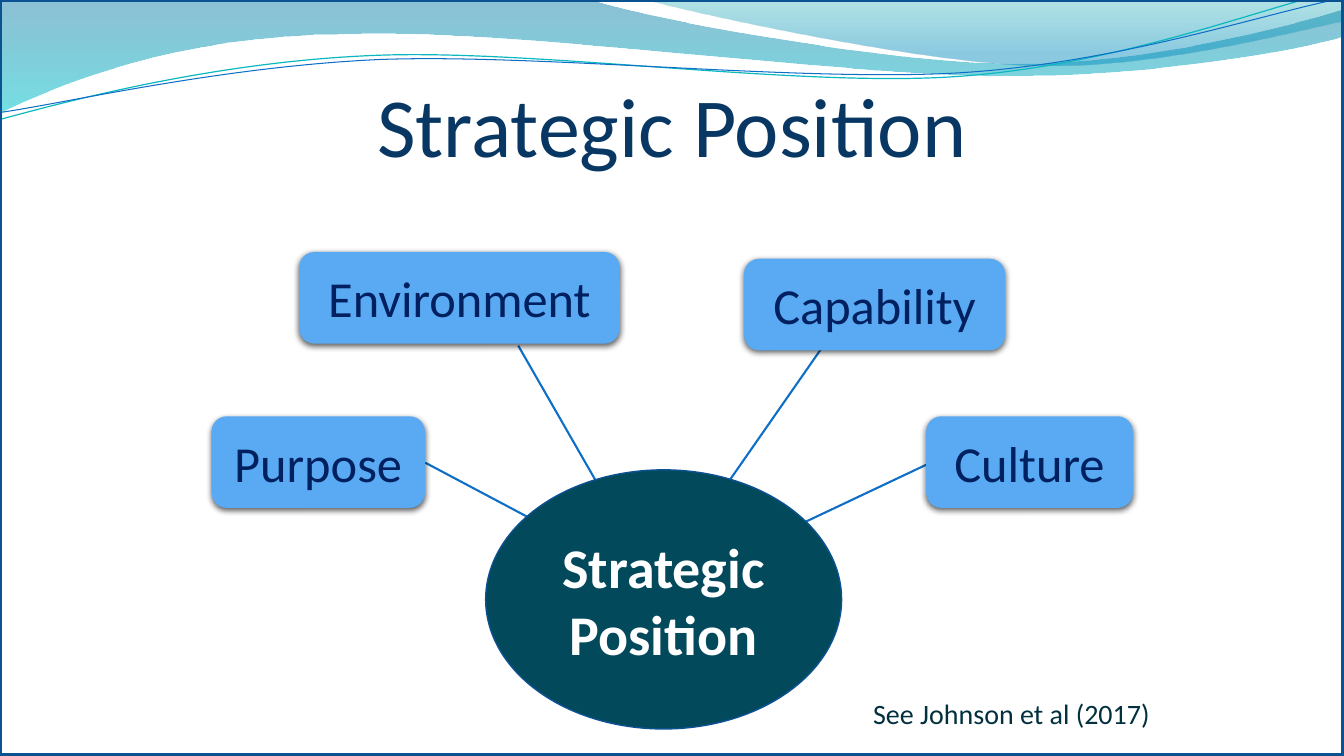
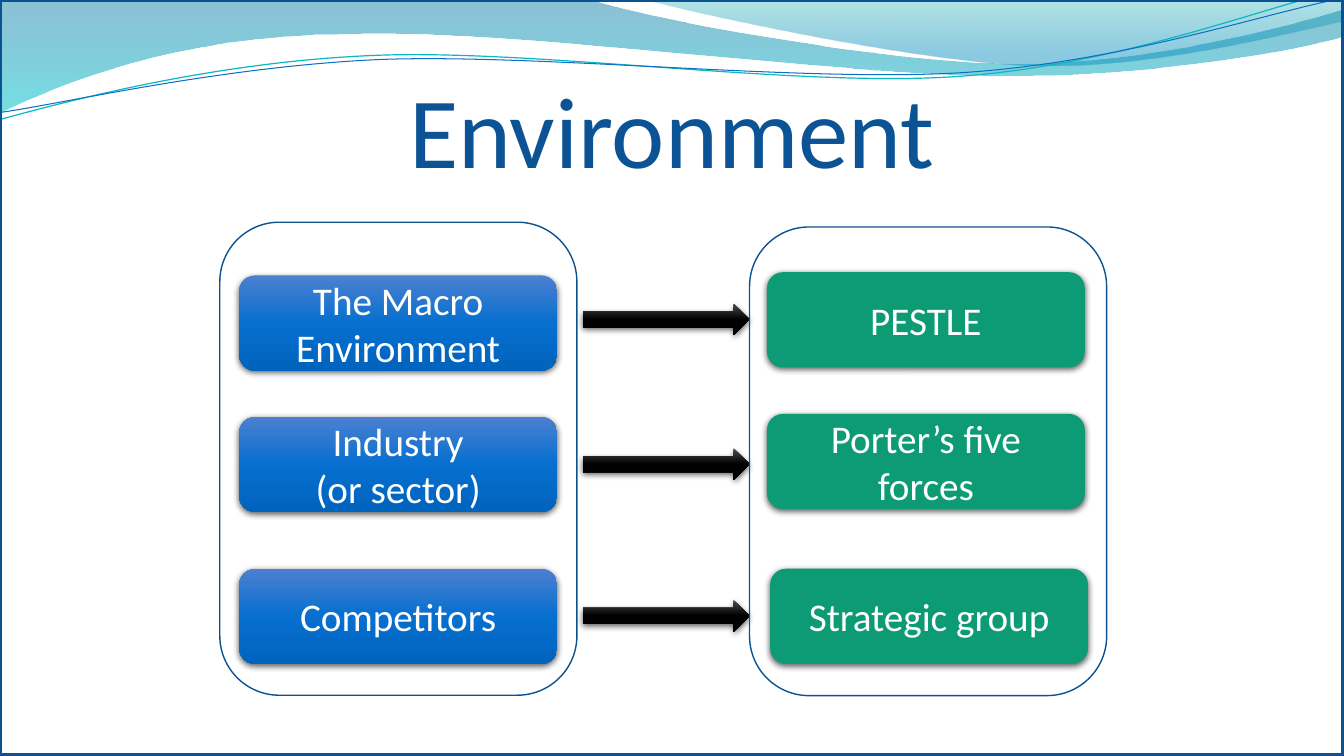
from dataclasses import dataclass
from math import cos, radians, sin

from lxml.etree import SubElement
from pptx import Presentation
from pptx.dml.color import RGBColor
from pptx.enum.shapes import MSO_CONNECTOR, MSO_SHAPE
from pptx.enum.text import MSO_ANCHOR, MSO_AUTO_SIZE, PP_ALIGN
from pptx.oxml.ns import qn
from pptx.util import Cm, Pt


@dataclass(frozen=True)
class Theme:
    font: str = "Calibri"
    navy: str = "083763"
    blue: str = "0B5394"
    outline: str = "0B5292"
    link: str = "0F6FC6"
    wave_line: str = "0AB8BF"
    hub: str = "03495C"
    factor: str = "59AAF2"
    factor_text: str = "002060"
    tool: str = "0C9B74"
    note: str = "02303E"
    white: str = "FFFFFF"
    level: tuple = ((0, "4C80D0", 100), (50, "066FCF", 100), (100, "0063BD", 100))
    arrow: tuple = ((0, "4B4B4B", 100), (50, "000000", 100), (100, "000000", 100))
    wave_left: tuple = ((0, "0074A1", 45), (100, "00C6CF", 55))
    wave_right: tuple = ((0, "00A1A9", 30), (80, "008BBF", 45))
    title_size: int = 60
    large_title_size: int = 72
    hub_size: int = 40
    factor_size: int = 36
    card_size: int = 28
    note_size: int = 20


THEME = Theme()
WIDTH, HEIGHT = 33.87, 19.05
STRAND_TILT = 2.7

WAVE_LEFT = [
    [(0, -0.02)],
    [(14.91, -0.02)],
    [(16.1, 0.43), (22.45, 1.6), (25.68, 1.6)],
    [(28.88, 1.6), (32.44, 0.66), (33.86, 0.23)],
    [(33.88, 0.91)],
    [(33.3, 1.12), (29.44, 1.93), (25.25, 1.91)],
    [(21.06, 1.91), (12.93, 0.71), (8.71, 0.86)],
    [(4.37, 0.89), (1.55, 2.11), (-0.05, 2.87)],
    [(0, -0.02)],
]
WAVE_RIGHT = [
    [(16.23, -0.02)],
    [(17.25, 0.28), (23.09, 1.57), (26.04, 1.65)],
    [(28.96, 1.75), (32.54, 0.81), (33.86, 0.53)],
    [(33.86, 0)],
    [(16.23, -0.02)],
]
TEAL_STRAND = [
    [(-0.03, 3.02)],
    [(1.63, 2.57), (5.33, 1.57), (9.37, 1.4)],
    [(13.39, 1.22), (20.04, 2.21), (24.1, 1.93)],
    [(28.19, 1.65), (31.78, 0.2), (33.78, -0.25)],
]
BLUE_STRAND = [
    [(-0.03, 2.84)],
    [(1.57, 2.62), (5.54, 1.68), (9.58, 1.5)],
    [(13.64, 1.35), (20.22, 2.08), (24.26, 1.83)],
    [(28.3, 1.57), (31.88, 0.33), (33.86, -0.05)],
]


def rgb(color):
    return RGBColor.from_string(color)


def paint(shape, fill=None, line=None, line_width=1, shadow=False):
    if fill is None:
        shape.fill.background()
    elif isinstance(fill, str):
        shape.fill.solid()
        shape.fill.fore_color.rgb = rgb(fill)
    else:
        paint_gradient(shape, fill)
    if line is None:
        shape.line.fill.background()
    else:
        shape.line.color.rgb = rgb(line)
        shape.line.width = Pt(line_width)
    shape.shadow.inherit = False
    if shadow:
        add_shadow(shape)


def paint_gradient(shape, stops):
    shape.fill.gradient()
    shape.fill.gradient_angle = 270
    stop_list = shape.element.spPr.find(qn("a:gradFill")).find(qn("a:gsLst"))
    for stop in list(stop_list):
        stop_list.remove(stop)
    for position, color, opacity in stops:
        stop = SubElement(stop_list, qn("a:gs"), pos=str(position * 1000))
        add_color(stop, color, opacity)


def add_color(parent, color, opacity):
    tint = SubElement(parent, qn("a:srgbClr"), val=color)
    if opacity < 100:
        SubElement(tint, qn("a:alpha"), val=str(opacity * 1000))


def add_shadow(shape):
    effects = shape.element.spPr.find(qn("a:effectLst"))
    outer = SubElement(effects, qn("a:outerShdw"), blurRad=str(Pt(4.5)),
                       dist=str(Pt(1.5)), dir="5400000", rotWithShape="0")
    add_color(outer, "000000", 63)


def write(shape, lines, size, color, align=PP_ALIGN.CENTER, bold=False):
    frame = shape.text_frame
    frame.word_wrap = True
    frame.auto_size = MSO_AUTO_SIZE.NONE
    frame.vertical_anchor = MSO_ANCHOR.MIDDLE
    for index, line in enumerate(lines):
        para = frame.add_paragraph() if index else frame.paragraphs[0]
        para.alignment = align
        span = para.add_run()
        span.text = line
        span.font.name = THEME.font
        span.font.size = Pt(size)
        span.font.bold = bold
        span.font.color.rgb = rgb(color)


def add_block(page, kind, bounds, **style):
    block = page.shapes.add_shape(kind, *map(Cm, bounds))
    paint(block, **style)
    return block


def add_card(page, bounds, lines, fill, size, color):
    card = add_block(page, MSO_SHAPE.ROUNDED_RECTANGLE, bounds, fill=fill, shadow=True)
    write(card, lines, size, color)


def add_link(page, start, end):
    link = page.shapes.add_connector(MSO_CONNECTOR.STRAIGHT, *map(Cm, start + end))
    link.line.color.rgb = rgb(THEME.link)
    link.line.width = Pt(1.5)
    SubElement(link.element.spPr, qn("a:effectLst"))


def turn(outline, degrees):
    ends = [segment[-1] for segment in outline]
    mid_x, mid_y = ((min(axis) + max(axis)) / 2 for axis in zip(*ends))
    c, s = cos(radians(degrees)), sin(radians(degrees))
    return [[(mid_x + (x - mid_x) * c - (y - mid_y) * s,
              mid_y + (x - mid_x) * s + (y - mid_y) * c) for x, y in segment]
            for segment in outline]


def add_wave(page, outline, tilt=0, **style):
    outline = [[(Cm(x), Cm(y)) for x, y in segment] for segment in turn(outline, tilt)]
    ends = [segment[-1] for segment in outline]
    builder = page.shapes.build_freeform(*ends[0])
    builder.add_line_segments(ends[1:], close=ends[0] == ends[-1])
    wave = builder.convert_to_shape()
    for node, segment in zip(list(wave.element.iter(qn("a:lnTo"))), outline[1:]):
        if len(segment) == 3:
            curve = SubElement(node.getparent(), qn("a:cubicBezTo"))
            node.getparent().replace(node, curve)
            for x, y in segment:
                SubElement(curve, qn("a:pt"), x=str(x - wave.left), y=str(y - wave.top))
    wave.rotation = -tilt % 360
    paint(wave, **style)
    return wave


def decorate_master(deck, page):
    waves = [
        add_wave(page, WAVE_LEFT, fill=THEME.wave_left),
        add_wave(page, WAVE_RIGHT, fill=THEME.wave_right),
        add_wave(page, TEAL_STRAND, STRAND_TILT, line=THEME.wave_line, line_width=0.85),
        add_wave(page, BLUE_STRAND, STRAND_TILT, line=THEME.link, line_width=0.75),
    ]
    for wave in waves:
        deck.slide_master.element.cSld.spTree.append(wave.element)


def add_page(deck):
    return deck.slides.add_slide(deck.slide_layouts[5])


def set_title(page, text, top, height, size, color):
    title = page.shapes.title
    width = 25.7
    title.left, title.top = Cm((WIDTH - width) / 2), Cm(top)
    title.width, title.height = Cm(width), Cm(height)
    write(title, [text], size, color)


def add_frame(page):
    add_block(page, MSO_SHAPE.RECTANGLE, (0, 0, WIDTH, HEIGHT),
              line=THEME.outline, line_width=3.5)


def fill_position(page):
    set_title(page, "Strategic Position", 1.72, 2.82, THEME.title_size, THEME.navy)
    add_frame(page)
    links = [
        ((13.06, 8.71), (15.19, 12.42)),
        ((20.75, 8.71), (18.34, 12.17)),
        ((23.83, 11.48), (20.17, 13.21)),
        ((10.72, 11.66), (13.36, 13.06)),
    ]
    for start, end in links:
        add_link(page, start, end)
    hub = add_block(page, MSO_SHAPE.OVAL, (12.24, 11.84, 8.97, 6.53),
                    fill=THEME.hub, line=THEME.outline)
    write(hub, ["Strategic Position"], THEME.hub_size, THEME.white, bold=True)
    factors = [
        ("Purpose", 5.33, 10.49, 5.38),
        ("Environment", 7.54, 6.35, 8.08),
        ("Capability", 18.75, 6.52, 6.58),
        ("Culture", 23.34, 10.49, 5.21),
    ]
    for name, left, top, width in factors:
        add_card(page, (left, top, width, 2.31), [name],
                 THEME.factor, THEME.factor_size, THEME.factor_text)
    note = page.shapes.add_textbox(*map(Cm, (19.05, 17.42, 10.18, 1.12)))
    write(note, ["See Johnson et al (2017)"], THEME.note_size, THEME.note, PP_ALIGN.RIGHT)


def fill_environment(page):
    set_title(page, "Environment", 1.56, 3.33, THEME.large_title_size, THEME.blue)
    add_frame(page)
    card_width, card_height = 8.01, 2.4
    levels = [
        (6.94, ["The Macro Environment"]),
        (10.5, ["Industry", "(or sector)"]),
        (14.33, ["Competitors"]),
    ]
    tools = [
        (19.33, 6.86, ["PESTLE"]),
        (19.33, 10.43, ["Porter’s five forces"]),
        (19.41, 14.33, ["Strategic group"]),
    ]
    for top, lines in levels:
        add_card(page, (6.03, top, card_width, card_height), lines,
                 THEME.level, THEME.card_size, THEME.white)
    for left, top, lines in tools:
        add_card(page, (left, top, card_width, card_height), lines,
                 THEME.tool, THEME.card_size, THEME.white)
    for top in (7.65, 11.3, 15.12):
        add_block(page, MSO_SHAPE.RIGHT_ARROW, (14.69, top, 4.2, 0.8),
                  fill=THEME.arrow, shadow=True)
    for left, top, height in ((5.54, 5.6, 11.92), (18.89, 5.72, 11.81)):
        add_block(page, MSO_SHAPE.ROUNDED_RECTANGLE, (left, top, 9, height),
                  line=THEME.outline)


def main():
    deck = Presentation()
    deck.slide_width, deck.slide_height = Cm(WIDTH), Cm(HEIGHT)
    position, environment = add_page(deck), add_page(deck)
    decorate_master(deck, position)
    fill_position(position)
    fill_environment(environment)
    deck.save("out.pptx")


if __name__ == "__main__":
    main()
